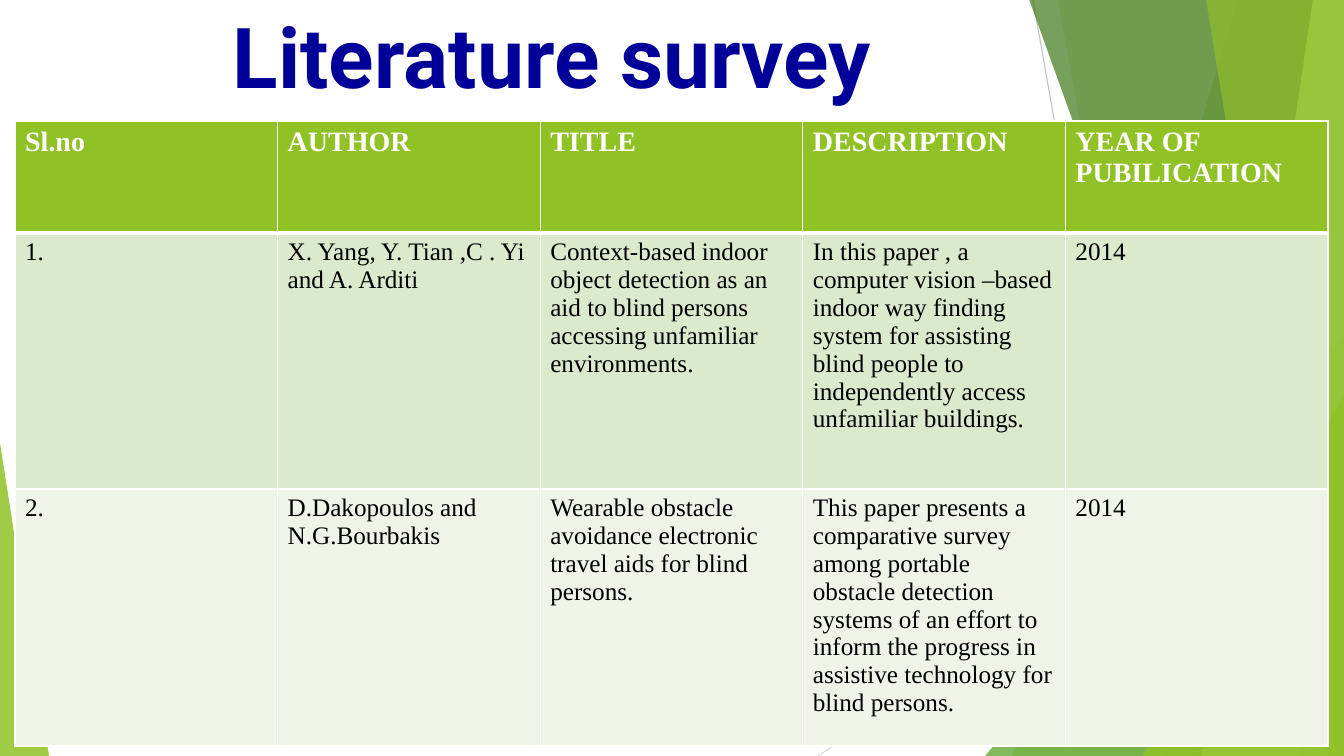
import pptx
import pptx.dml.color
import pptx.enum.shapes
import pptx.enum.text
import pptx.oxml.ns
import pptx.util
from lxml import etree

PX = 12192000 / 1344
W, H = 1344, 756

THEME = {
    "green": "90C226", "mid": "54A021", "dark": "3F7819", "light": "C0E474",
    "title": "000099", "white": "FFFFFF", "black": "000000",
    "bands": ["DBE9CD", "EEF4E8"], "line": "BFBFBF", "faint": "D9D9D9",
    "title_font": "Roboto", "body_font": "Times New Roman",
    "title_size": 60, "head_size": 20, "body_size": 18,
}

RAYS = [
    ("line", (1033, 0, 1167, H), "line"),
    ("line", (W, 406, 818, H), "faint"),
    ("band", (1238, 1012), "green", 30),
    ("band", (1058, 1192), "green", 20),
    ("triangle", (985, 336, 359, 420, 1), "mid", 72),
    ("band", (1029, 1301), "dark", 70),
    ("band", (1313, 1202), "light", 70),
    ("band", (1206, 1329), "green", 65),
    ("triangle", (1143, 396, 201, 360, 1), "green", 80),
    ("triangle", (0, 443, 49, 313, 0), "green", 85),
]

ROW_HEIGHTS = [112, 256, 257]
ROWS = [
    ["Sl.no", "AUTHOR", "TITLE", "DESCRIPTION", "YEAR OF PUBILICATION"],
    ["1.", "X. Yang, Y. Tian ,C . Yi and A. Arditi",
     "Context-based indoor object detection as an aid to blind persons "
     "accessing unfamiliar environments.",
     "In this paper , a computer vision –based indoor way finding system "
     "for assisting blind people to independently access unfamiliar buildings.",
     "2014"],
    ["2.", "D.Dakopoulos and N.G.Bourbakis",
     "Wearable obstacle avoidance electronic travel aids for blind persons.",
     "This paper presents a comparative survey among portable obstacle "
     "detection systems of an effort to inform the progress in assistive "
     "technology for blind persons.",
     "2014"],
]


def px(n):
    return pptx.util.Emu(round(n * PX))


def rgb(color):
    return pptx.dml.color.RGBColor.from_string(color)


def sub(parent, tag, **attrs):
    return etree.SubElement(parent, pptx.oxml.ns.qn(tag), **attrs)


def add_ln(parent, tag, color, width):
    ln = sub(parent, tag, w=str(pptx.util.Pt(width)))
    sub(sub(ln, "a:solidFill"), "a:srgbClr", val=color)


def write(tf, text, color, **fmt):
    r = tf.paragraphs[0].add_run()
    r.text = text
    for name, value in fmt.items():
        setattr(r.font, name, value)
    r.font.color.rgb = rgb(color)


def paint(sp, color, opacity):
    sp.shadow.inherit = False
    sp.line.fill.background()
    sp.fill.solid()
    sp.fill.fore_color.rgb = rgb(color)
    clr = sp.fill._xPr.find(".//" + pptx.oxml.ns.qn("a:srgbClr"))
    sub(clr, "a:alpha", val=str(opacity * 1000))


def add_line(slide, ends, color):
    sp = slide.shapes.add_connector(
        pptx.enum.shapes.MSO_CONNECTOR.STRAIGHT, *map(px, ends))
    sp.line.color.rgb = rgb(color)
    sp.line.width = pptx.util.Pt(0.75)
    sub(sp._element.spPr, "a:effectLst")


def add_band(slide, edge, color, opacity):
    top, bottom = edge
    builder = slide.shapes.build_freeform(top, -1, scale=PX)
    builder.add_line_segments([(W, -1), (W, H), (bottom, H)], close=True)
    paint(builder.convert_to_shape(), color, opacity)


def add_triangle(slide, box, color, opacity):
    *bounds, apex = box
    sp = slide.shapes.add_shape(
        pptx.enum.shapes.MSO_SHAPE.ISOSCELES_TRIANGLE, *map(px, bounds))
    sp.adjustments[0] = apex
    paint(sp, color, opacity)


def add_title(slide, text):
    tf = slide.shapes.add_textbox(px(223), 0, px(899), px(146)).text_frame
    tf.word_wrap = True
    tf.vertical_anchor = pptx.enum.text.MSO_ANCHOR.TOP
    write(tf, text, THEME["title"], name=THEME["title_font"],
          size=pptx.util.Pt(THEME["title_size"]), bold=True)


def fill_cell(cell, text, row):
    head = row == 0
    tcPr = cell._tc.get_or_add_tcPr()
    widths = {"L": 1, "R": 1, "T": 3 if row == 1 else 1, "B": 3 if head else 1}
    for side, width in widths.items():
        add_ln(tcPr, "a:ln" + side, THEME["white"], width)
    cell.fill.solid()
    cell.fill.fore_color.rgb = rgb(
        THEME["green"] if head else THEME["bands"][(row - 1) % 2])
    write(cell.text_frame, text, THEME["white" if head else "black"],
          name=THEME["body_font"], bold=head,
          size=pptx.util.Pt(THEME["head_size" if head else "body_size"]))


def add_survey_table(slide):
    table = slide.shapes.add_table(
        len(ROWS), len(ROWS[0]), px(15), px(121),
        px(1313), px(sum(ROW_HEIGHTS))).table
    for i, (height, texts) in enumerate(zip(ROW_HEIGHTS, ROWS)):
        table.rows[i].height = px(height)
        for j, text in enumerate(texts):
            fill_cell(table.cell(i, j), text, i)


def main():
    prs = pptx.Presentation()
    prs.slide_width, prs.slide_height = px(W), px(H)
    slide = prs.slides.add_slide(prs.slide_layouts[6])
    draw = {"line": add_line, "band": add_band, "triangle": add_triangle}
    for kind, geometry, color, *opacity in RAYS:
        draw[kind](slide, geometry, THEME[color], *opacity)
    add_title(slide, "Literature survey")
    add_survey_table(slide)
    prs.save("out.pptx")


if __name__ == "__main__":
    main()
